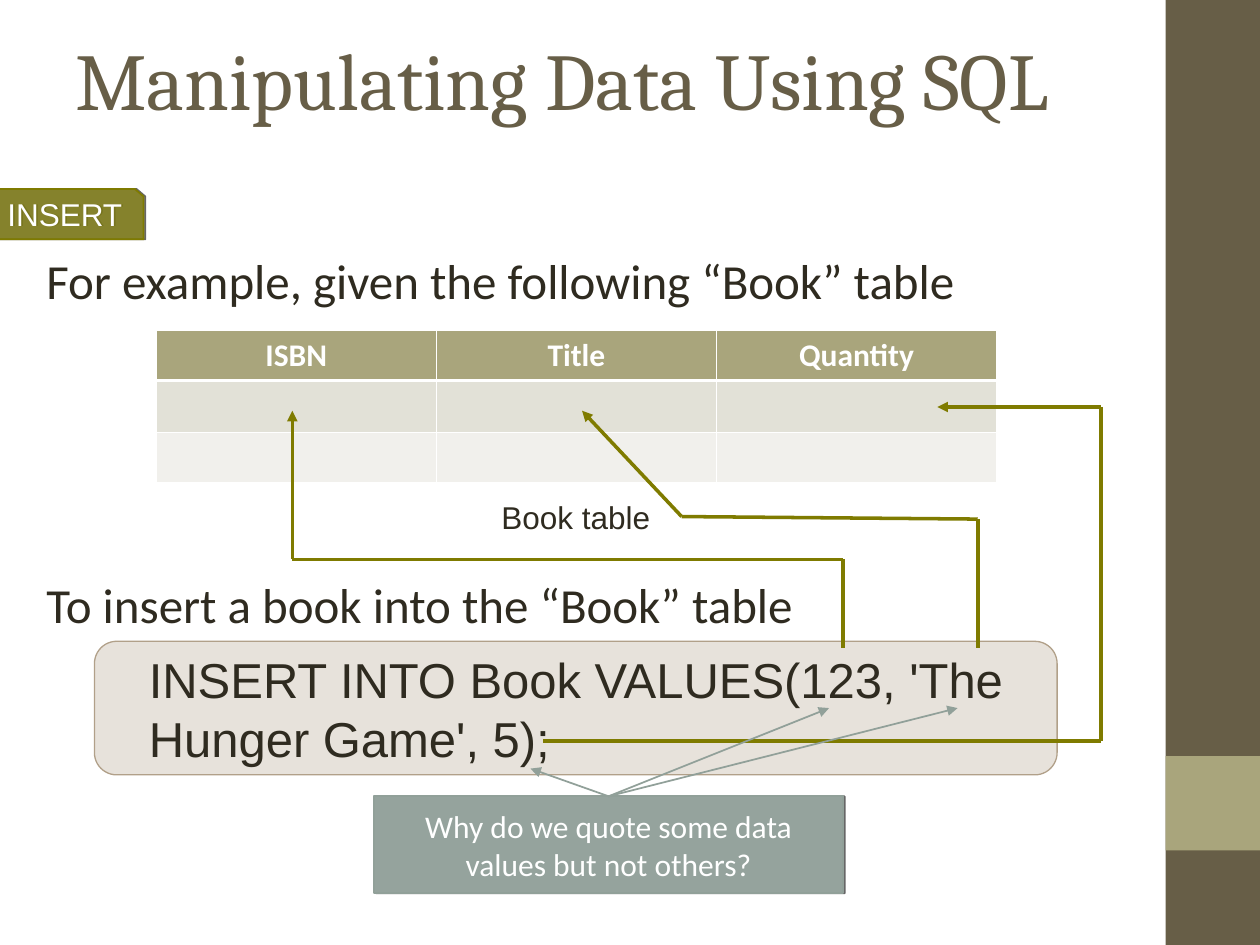
from lxml.etree import SubElement
from pptx import Presentation
from pptx.dml.color import RGBColor
from pptx.enum.shapes import MSO_CONNECTOR, MSO_SHAPE
from pptx.enum.text import MSO_ANCHOR, PP_ALIGN
from pptx.oxml.ns import qn
from pptx.util import Inches, Pt

BROWN, SAND, OLIVE = "675E47", "A9A57C", "7F7B00"
TAN, SAGE, SAGE_LINE = "B1A089", "95A39D", "91A099"
INK, WHITE, BLACK = "2F2B20", "FFFFFF", "000000"


def color(hex_text):
    return RGBColor.from_string(hex_text)


class SlideBuilder:
    """Holds the shared style and the slide being filled."""

    heading_font, body_font, code_font = "Cambria", "Calibri", "Arial"

    def __init__(self, slide):
        self.slide = slide
        self.shapes = slide.shapes

    def set_text(self, frame, text, size, font, ink=INK, align=PP_ALIGN.LEFT,
                 anchor=MSO_ANCHOR.TOP, bold=False):
        frame.word_wrap = True
        frame.vertical_anchor = anchor
        paragraph = frame.paragraphs[0]
        paragraph.text = text
        paragraph.alignment = align
        paragraph.font.name = font
        paragraph.font.size = Pt(size)
        paragraph.font.bold = bold
        paragraph.font.color.rgb = color(ink)

    def text(self, left, top, width, height, text, size, font, **style):
        box = self.shapes.add_textbox(Inches(left), Inches(top), Inches(width), Inches(height))
        self.set_text(box.text_frame, text, size, font, **style)
        return box

    def paint(self, shape, fill, line=None, weight=1, opacity=100, shadow=False):
        shape.shadow.inherit = False
        shape.fill.solid()
        shape.fill.fore_color.rgb = color(fill)
        properties = shape._element.spPr
        if opacity < 100:
            tint = properties.find(qn("a:solidFill")).find(qn("a:srgbClr"))
            SubElement(tint, qn("a:alpha"), val=str(opacity * 1000))
        if line:
            shape.line.color.rgb = color(line)
            shape.line.width = Pt(weight)
        else:
            shape.line.fill.background()
        if shadow:
            effects = properties.find(qn("a:effectLst"))
            outer = SubElement(effects, qn("a:outerShdw"), dist=str(Pt(1)), dir="0")
            shade = SubElement(outer, qn("a:srgbClr"), val=BLACK)
            SubElement(shade, qn("a:alpha"), val="60000")

    def shape(self, kind, left, top, width, height, fill, **look):
        shape = self.shapes.add_shape(kind, Inches(left), Inches(top), Inches(width), Inches(height))
        self.paint(shape, fill, **look)
        return shape

    def outline(self, points, fill, **look):
        corners = [(Inches(x), Inches(y)) for x, y in points]
        builder = self.shapes.build_freeform(*corners[0])
        builder.add_line_segments(corners[1:], close=True)
        shape = builder.convert_to_shape()
        self.paint(shape, fill, **look)
        return shape

    def line(self, start, end, ink=OLIVE, weight=2, arrow_end=None, source=None):
        connector = self.shapes.add_connector(
            MSO_CONNECTOR.STRAIGHT, *(Inches(value) for value in (*start, *end)))
        if source is not None:
            connector.begin_connect(source, 0)
        connector.line.color.rgb = color(ink)
        connector.line.width = Pt(weight)
        properties = connector._element.spPr
        if arrow_end:
            SubElement(properties.find(qn("a:ln")), qn(f"a:{arrow_end}"), type="triangle")
        SubElement(properties, qn("a:effectLst"))

    def border(self, cell, side, weight):
        edge = SubElement(cell._tc.get_or_add_tcPr(), qn(f"a:ln{side}"), w=str(Pt(weight)))
        SubElement(SubElement(edge, qn("a:solidFill")), qn("a:srgbClr"), val=WHITE)

    def table(self, left, top, width, row_heights, headings, row_fills):
        frame = self.shapes.add_table(len(row_heights), len(headings), Inches(left), Inches(top),
                                      Inches(width), Inches(sum(row_heights)))
        table = frame.table
        for column in table.columns:
            column.width = Inches(width / len(headings))
        for row_index, (height, fill) in enumerate(zip(row_heights, row_fills)):
            table.rows[row_index].height = Inches(height)
            for column_index, heading in enumerate(headings):
                cell = table.cell(row_index, column_index)
                for side in "LRTB":
                    under_header = (row_index, side) in ((0, "B"), (1, "T"))
                    self.border(cell, side, 1.47 if under_header else 0.45)
                cell.fill.solid()
                cell.fill.fore_color.rgb = color(fill)
                self.set_text(cell.text_frame, heading if row_index == 0 else "", 18,
                              self.body_font, ink=WHITE, align=PP_ALIGN.CENTER, bold=True)


def main():
    deck = Presentation()
    deck.slide_width, deck.slide_height = Inches(10), Inches(7.5)
    page = SlideBuilder(deck.slides.add_slide(deck.slide_layouts[6]))
    middle, center = MSO_ANCHOR.MIDDLE, PP_ALIGN.CENTER

    # Side band
    page.shape(MSO_SHAPE.RECTANGLE, 9.25, 0, 0.75, 7.5, BROWN)
    page.shape(MSO_SHAPE.RECTANGLE, 9.25, 6, 0.75, 0.75, SAND)

    # Title and body lines
    page.text(0.5, 0, 8.33, 1.25, "Manipulating Data Using SQL", 46, page.heading_font,
              ink=BROWN, anchor=middle)
    for top, sentence in ((1.94, "For example, given the following “Book” table"),
                          (4.51, "To insert a book into the “Book” table")):
        page.text(0.27, top, 8.9, 0.57, sentence, 28, page.body_font)

    # SQL statement
    statement = page.shape(MSO_SHAPE.ROUNDED_RECTANGLE, 0.75, 5.09, 7.64, 1.06, TAN,
                           line=TAN, weight=0.75, opacity=30)
    statement.text_frame.margin_left = Inches(0.38)
    page.set_text(statement.text_frame, "INSERT INTO Book VALUES(123, 'The Hunger Game', 5);",
                  28, page.code_font, anchor=middle)

    # Tag with a cut corner
    tag = page.outline([(-0.04, 1.5), (1.07, 1.5), (1.14, 1.56), (1.14, 1.9), (-0.04, 1.9)],
                       OLIVE, line=OLIVE, opacity=70, shadow=True)
    page.set_text(tag.text_frame, "INSERT", 18, page.code_font, ink=WHITE, anchor=middle)

    # Book table and its caption
    page.table(1.24, 2.62, 6.67, (0.4, 0.41, 0.4), ("ISBN", "Title", "Quantity"),
               (SAND, "E2E1D7", "F1F0EC"))
    page.text(3.43, 3.9, 2.28, 0.4, "Book table", 18, page.code_font, align=center)

    # Routes from each value to its column, starting at the arrow tip
    routes = (
        ((2.32, 3.26), (2.32, 4.44), (6.69, 4.44), (6.69, 5.14)),
        ((4.62, 3.26), (5.41, 4.1), (7.76, 4.12), (7.76, 5.14)),
        ((7.44, 3.23), (8.74, 3.23), (8.74, 5.88), (4.31, 5.88)),
    )
    for route in routes:
        for index, (start, end) in enumerate(zip(route, route[1:])):
            page.line(start, end, arrow_end="headEnd" if index == 0 else None)

    # Question with pointers to the values
    question = page.shape(MSO_SHAPE.RECTANGLE, 2.97, 6.32, 3.72, 0.77, SAGE,
                          line=SAGE_LINE, shadow=True)
    page.set_text(question.text_frame, "Why do we quote some data values but not others?", 18,
                  page.body_font, ink=WHITE, align=center, anchor=middle)
    for target in ((7.6, 5.62), (4.21, 6.1), (6.58, 5.62)):
        page.line((4.83, 6.32), target, ink=SAGE_LINE, weight=1, arrow_end="tailEnd",
                  source=question)

    deck.save("out.pptx")


if __name__ == "__main__":
    main()
